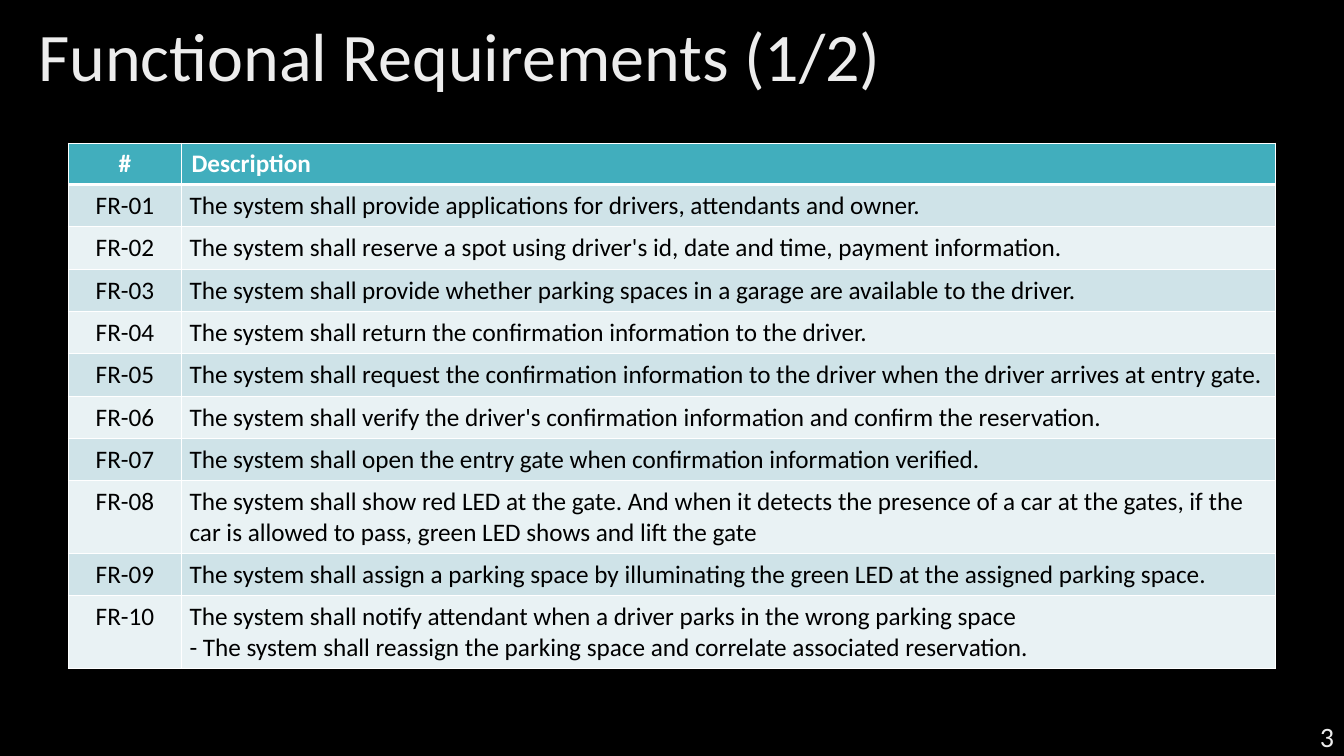
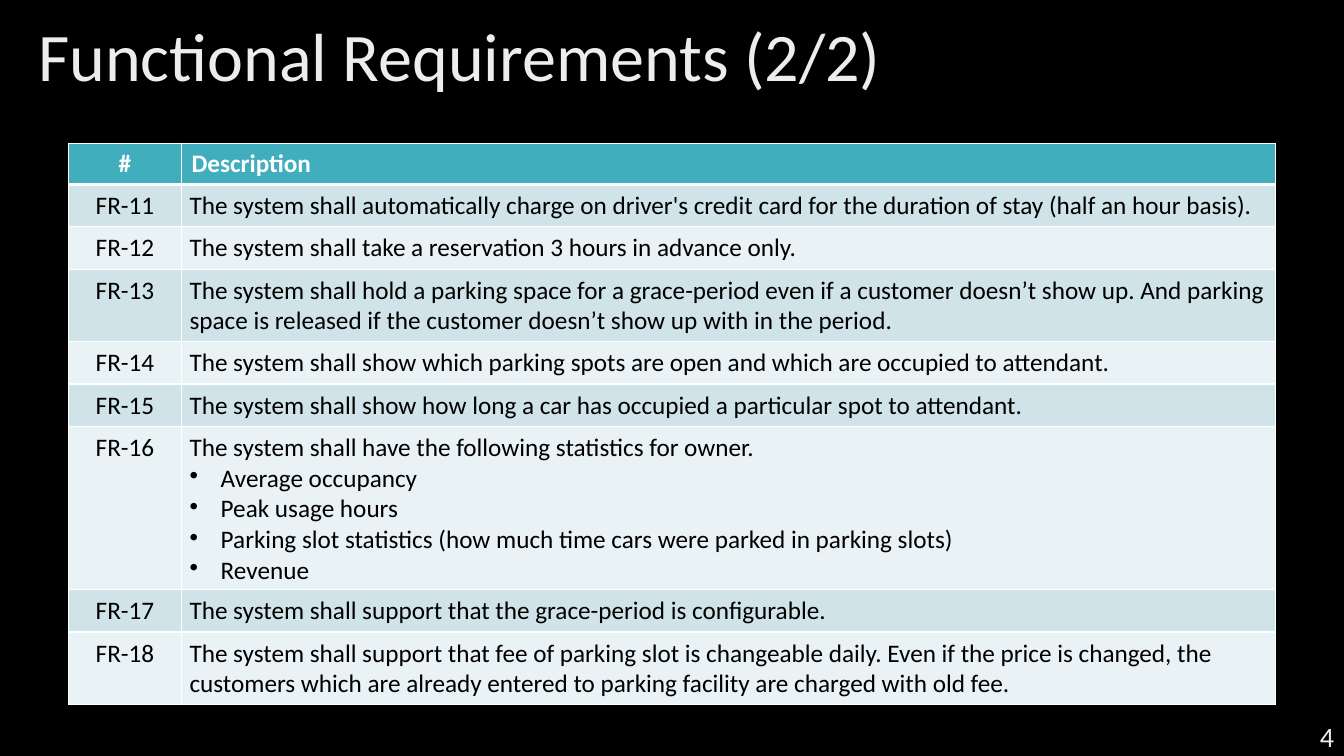
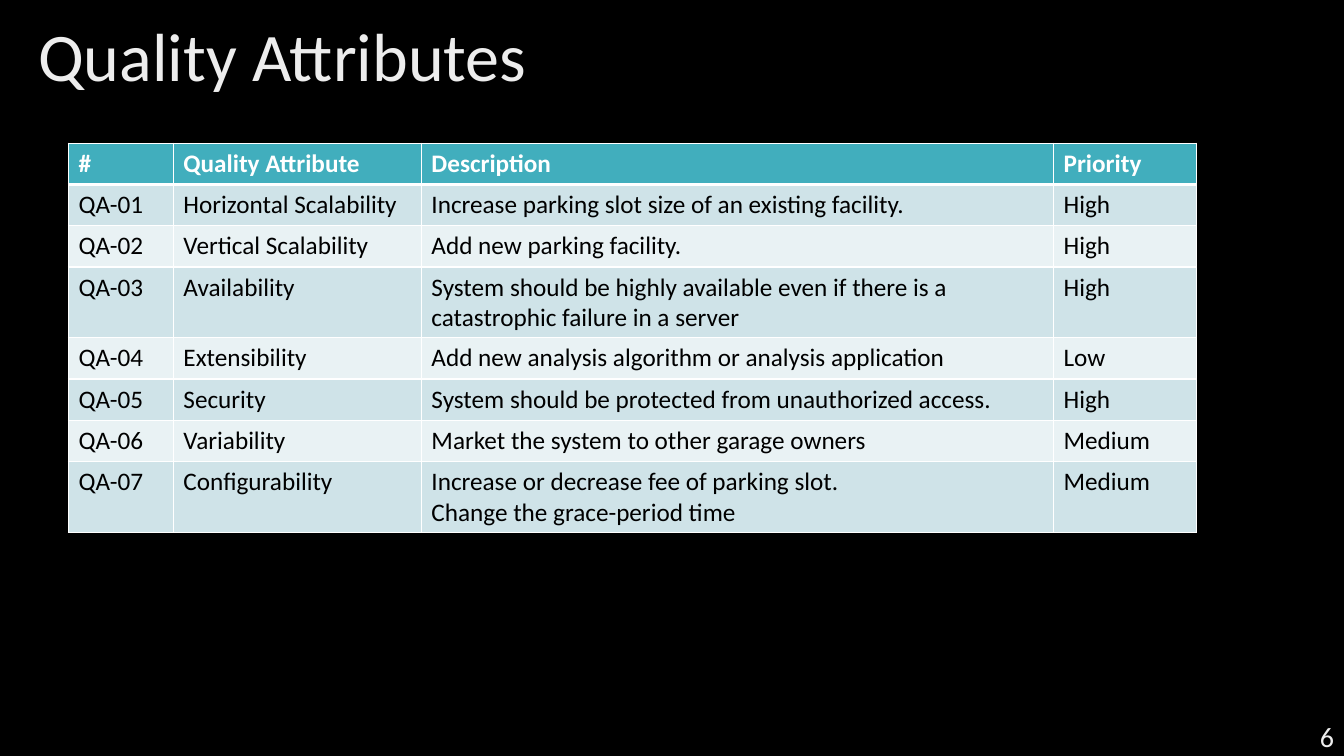
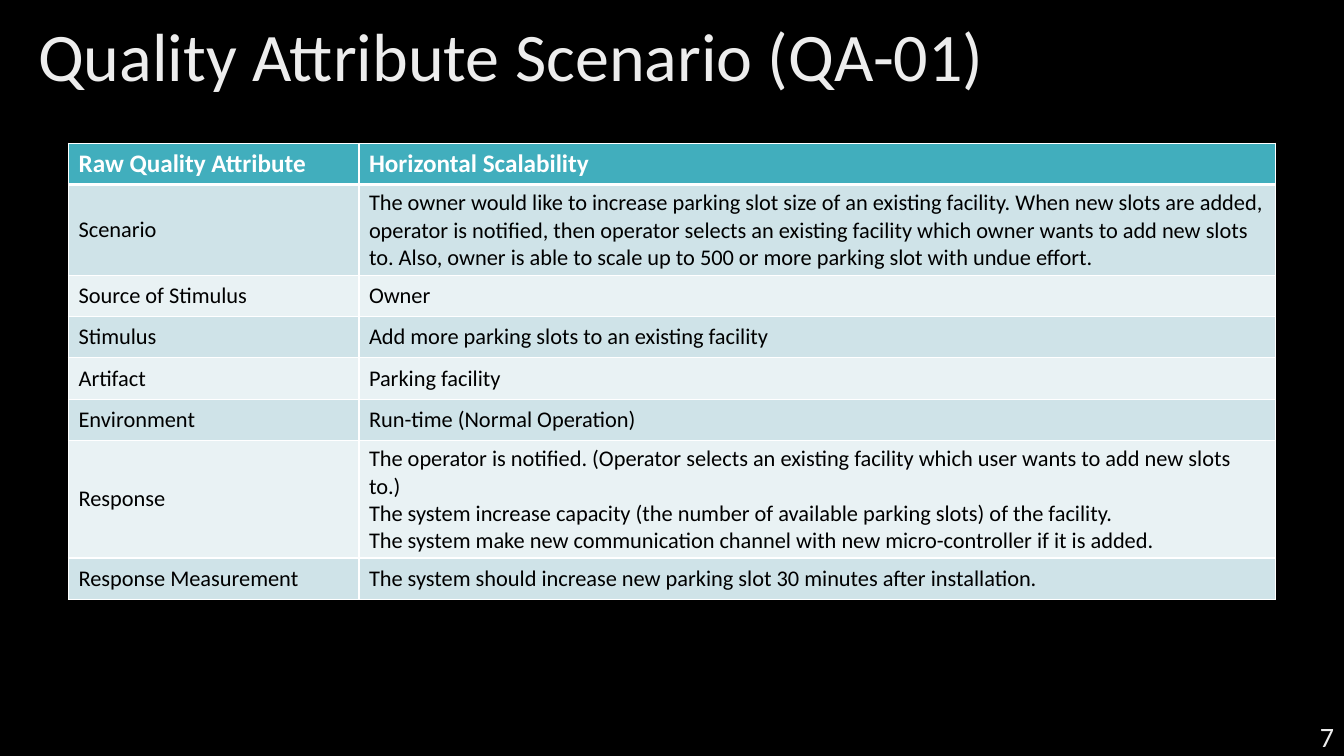
from dataclasses import dataclass

from lxml import etree
from pptx import Presentation
from pptx.dml.color import RGBColor
from pptx.enum import text
from pptx.oxml import ns
from pptx.util import Inches, Pt


@dataclass(frozen=True)
class Theme:
    font: str = "Calibri"
    background: str = "000000"
    title: str = "EDEDED"
    header: str = "41AEBD"
    header_text: str = "FFFFFF"
    bands: tuple = ("CFE3E8", "E9F2F4")
    body_text: str = "000000"
    border: str = "FFFFFF"
    title_size: float = 48.6
    number_size: int = 20
    table_size: int = 18
    scenario_size: int = 16
    thin: int = 1
    thick: int = 3


@dataclass(frozen=True)
class TableStyle:
    """Column widths, body insets (sides, top and bottom), and body text settings."""
    columns: tuple
    insets: tuple = (0.1, 0.05)
    size: int = Theme.table_size
    center_first: bool = False
    header_anchor: text.MSO_ANCHOR = text.MSO_ANCHOR.TOP
    body_anchor: text.MSO_ANCHOR = text.MSO_ANCHOR.TOP


THEME = Theme()
TABLE_LEFT, TABLE_TOP, ROW_HEIGHT = 0.68, 1.42, 0.41
BULLET, BULLET_INDENT = "• ", 0.31

REQUIREMENTS = TableStyle((1.12, 10.85), insets=(0.08, 0.06), center_first=True)
ATTRIBUTES = TableStyle((1.04, 2.46, 6.27, 1.42), header_anchor=text.MSO_ANCHOR.MIDDLE)
SCENARIO = TableStyle((2.88, 9.09), size=THEME.scenario_size,
                      body_anchor=text.MSO_ANCHOR.MIDDLE)

REQUIREMENTS_HEADER = ("#", "Description")
REQUIREMENTS_1 = [
    "The system shall provide applications for drivers, attendants and owner.",
    "The system shall reserve a spot using driver's id, date and time, payment information.",
    "The system shall provide whether parking spaces in a garage are available to the driver.",
    "The system shall return the confirmation information to the driver.",
    "The system shall request the confirmation information to the driver when the driver "
    "arrives at entry gate.",
    "The system shall verify the driver's confirmation information and confirm the reservation.",
    "The system shall open the entry gate when confirmation information verified.",
    "The system shall show red LED at the gate. And when it detects the presence of a car at "
    "the gates, if the car is allowed to pass, green LED shows and lift the gate",
    "The system shall assign a parking space by illuminating the green LED at the assigned "
    "parking space.",
    "The system shall notify attendant when a driver parks in the wrong parking space\n"
    "- The system shall reassign the parking space and correlate associated reservation.",
]
REQUIREMENTS_2 = [
    "The system shall automatically charge on driver's credit card for the duration of stay "
    "(half an hour basis).",
    "The system shall take a reservation 3 hours in advance only.",
    "The system shall hold a parking space for a grace-period even if a customer doesn’t show "
    "up. And parking space is released if the customer doesn’t show up with in the period.",
    "The system shall show which parking spots are open and which are occupied to attendant.",
    "The system shall show how long a car has occupied a particular spot to attendant.",
    "The system shall have the following statistics for owner.\n"
    "• Average occupancy\n"
    "• Peak usage hours\n"
    "• Parking slot statistics (how much time cars were parked in parking slots)\n"
    "• Revenue",
    "The system shall support that the grace-period is configurable.",
    "The system shall support that fee of parking slot is changeable daily. Even if the price "
    "is changed, the customers which are already entered to parking facility are charged with "
    "old fee.",
]
ATTRIBUTE_ROWS = [
    ("#", "Quality Attribute", "Description", "Priority"),
    ("QA-01", "Horizontal Scalability", "Increase parking slot size of an existing facility.",
     "High"),
    ("QA-02", "Vertical Scalability", "Add new parking facility.", "High"),
    ("QA-03", "Availability", "System should be highly available even if there is a "
     "catastrophic failure in a server", "High"),
    ("QA-04", "Extensibility", "Add new analysis algorithm or analysis application", "Low"),
    ("QA-05", "Security", "System should be protected from unauthorized access.", "High"),
    ("QA-06", "Variability", "Market the system to other garage owners", "Medium"),
    ("QA-07", "Configurability", "Increase or decrease fee of parking slot.\n"
     "Change the grace-period time", "Medium"),
]
SCENARIO_ROWS = [
    ("Raw Quality Attribute", "Horizontal Scalability"),
    ("Scenario", "The owner would like to increase parking slot size of an existing facility. "
     "When new slots are added, operator is notified, then operator selects an existing "
     "facility which owner wants to add new slots to. Also, owner is able to scale up to 500 "
     "or more parking slot with undue effort."),
    ("Source of Stimulus", "Owner"),
    ("Stimulus", "Add more parking slots to an existing facility"),
    ("Artifact", "Parking facility"),
    ("Environment", "Run-time (Normal Operation)"),
    ("Response", "The operator is notified. (Operator selects an existing facility which user "
     "wants to add new slots to.)\n"
     "The system increase capacity (the number of available parking slots) of the facility.\n"
     "The system make new communication channel with new micro-controller if it is added."),
    ("Response Measurement", "The system should increase new parking slot 30 minutes after "
     "installation."),
]


def requirement_rows(first, descriptions):
    """Number the descriptions from FR-first on, below the header."""
    numbered = [(f"FR-{number:02}", description)
                for number, description in enumerate(descriptions, first)]
    return [REQUIREMENTS_HEADER, *numbered]


def set_font(paragraph, size, color, bold=False):
    font = paragraph.font
    font.name, font.size, font.bold = THEME.font, Pt(size), bold
    font.color.rgb = RGBColor.from_string(color)


def add_text(slide, words, place, size, align=text.PP_ALIGN.LEFT, spacing=1.0):
    box = slide.shapes.add_textbox(*map(Inches, place))
    frame = box.text_frame
    frame.word_wrap = True
    frame.vertical_anchor = text.MSO_ANCHOR.MIDDLE
    paragraph = frame.paragraphs[0]
    paragraph.text = words
    paragraph.alignment = align
    paragraph.line_spacing = spacing
    set_font(paragraph, size, THEME.title)


def add_bullet(paragraph):
    props = paragraph._p.get_or_add_pPr()
    indent = Inches(BULLET_INDENT)
    props.set("marL", str(indent))
    props.set("indent", str(-indent))
    mark = etree.Element(ns.qn("a:buChar"), char=BULLET.strip())
    props.insert(0, mark)


def set_borders(cell, top, bottom):
    props = cell._tc.get_or_add_tcPr()
    widths = {"lnL": THEME.thin, "lnR": THEME.thin, "lnT": top, "lnB": bottom}
    for side, width in widths.items():
        line = etree.SubElement(props, ns.qn(f"a:{side}"), w=str(Pt(width)))
        fill = etree.SubElement(line, ns.qn("a:solidFill"))
        etree.SubElement(fill, ns.qn("a:srgbClr"), val=THEME.border)


def fill_cell(cell, words, row, style, centered):
    is_header = row == 0
    set_borders(cell, top=THEME.thick if row == 1 else THEME.thin,
                bottom=THEME.thick if is_header else THEME.thin)
    cell.fill.solid()
    cell.fill.fore_color.rgb = RGBColor.from_string(
        THEME.header if is_header else THEME.bands[(row - 1) % 2])
    cell.vertical_anchor = style.header_anchor if is_header else style.body_anchor
    side, edge = (0.1, 0.05) if is_header else style.insets
    cell.margin_left = cell.margin_right = Inches(side)
    cell.margin_top = cell.margin_bottom = Inches(edge)

    cell.text = words
    for paragraph in cell.text_frame.paragraphs:
        if centered:
            paragraph.alignment = text.PP_ALIGN.CENTER
        if is_header:
            set_font(paragraph, THEME.table_size, THEME.header_text, bold=True)
        else:
            set_font(paragraph, style.size, THEME.body_text)
        if paragraph.text.startswith(BULLET):
            paragraph.text = paragraph.text.removeprefix(BULLET)
            add_bullet(paragraph)


def add_grid(slide, rows, style):
    frame = slide.shapes.add_table(
        len(rows), len(style.columns), Inches(TABLE_LEFT), Inches(TABLE_TOP),
        Inches(sum(style.columns)), Inches(ROW_HEIGHT * len(rows)))
    table = frame.table
    for column, width in zip(table.columns, style.columns):
        column.width = Inches(width)
    for row, values in enumerate(rows):
        for column, words in enumerate(values):
            fill_cell(table.cell(row, column), words, row, style,
                      centered=style.center_first and column == 0)


def add_table_slide(deck, title, number, rows, style):
    slide = deck.slides.add_slide(deck.slide_layouts[6])
    add_text(slide, title, (0.28, 0.2, 12.77, 0.78), THEME.title_size, spacing=0.9)
    add_grid(slide, rows, style)
    add_text(slide, str(number), (10.33, 7.1, 3, 0.4), THEME.number_size,
             align=text.PP_ALIGN.RIGHT)


def main():
    deck = Presentation()
    deck.slide_width, deck.slide_height = Inches(13.33), Inches(7.5)
    backdrop = deck.slide_master.background.fill
    backdrop.solid()
    backdrop.fore_color.rgb = RGBColor.from_string(THEME.background)

    add_table_slide(deck, "Functional Requirements (1/2)", 3,
                    requirement_rows(1, REQUIREMENTS_1), REQUIREMENTS)
    add_table_slide(deck, "Functional Requirements (2/2)", 4,
                    requirement_rows(11, REQUIREMENTS_2), REQUIREMENTS)
    add_table_slide(deck, "Quality Attributes", 6, ATTRIBUTE_ROWS, ATTRIBUTES)
    add_table_slide(deck, "Quality Attribute Scenario (QA-01)", 7, SCENARIO_ROWS, SCENARIO)
    deck.save("out.pptx")


if __name__ == "__main__":
    main()
